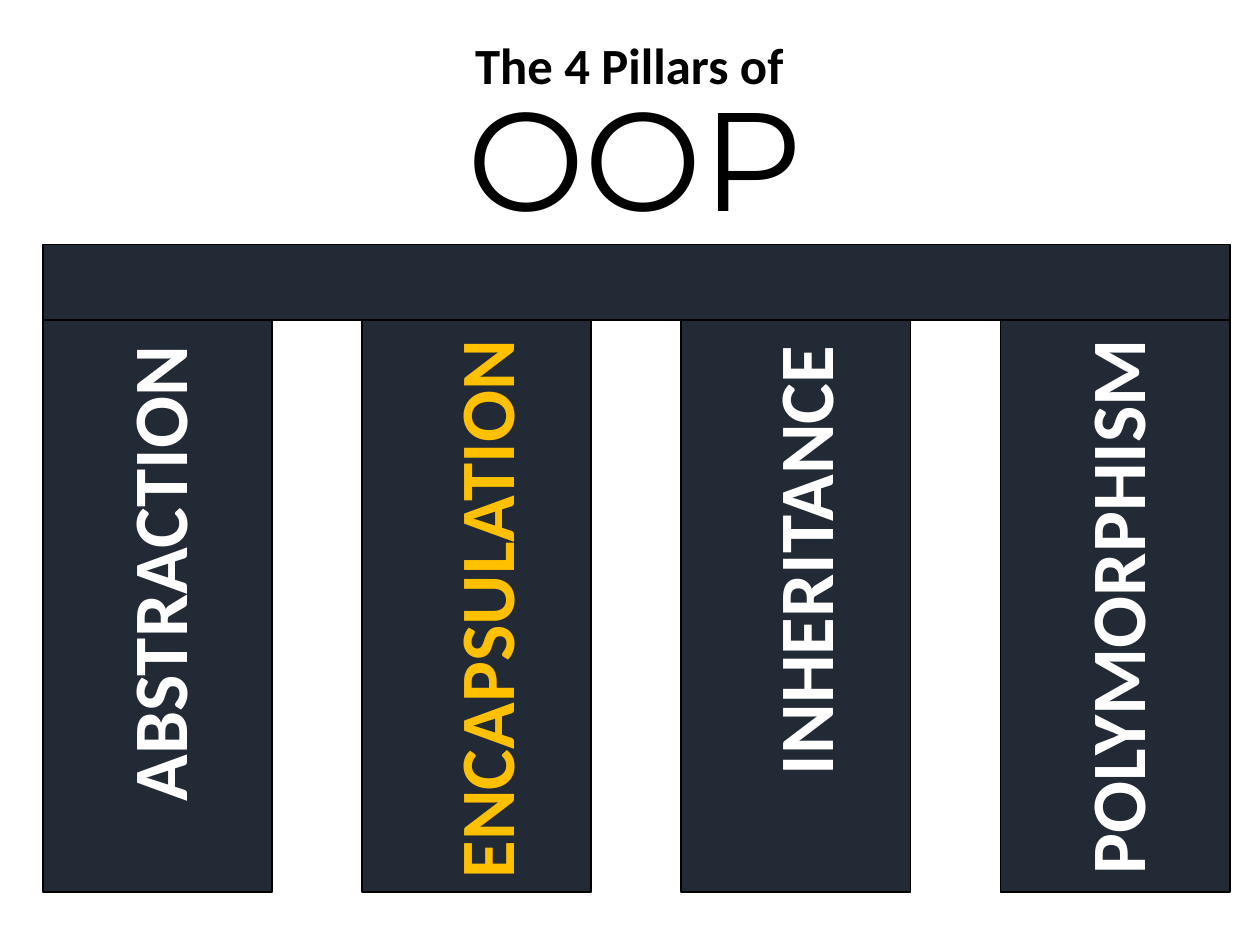
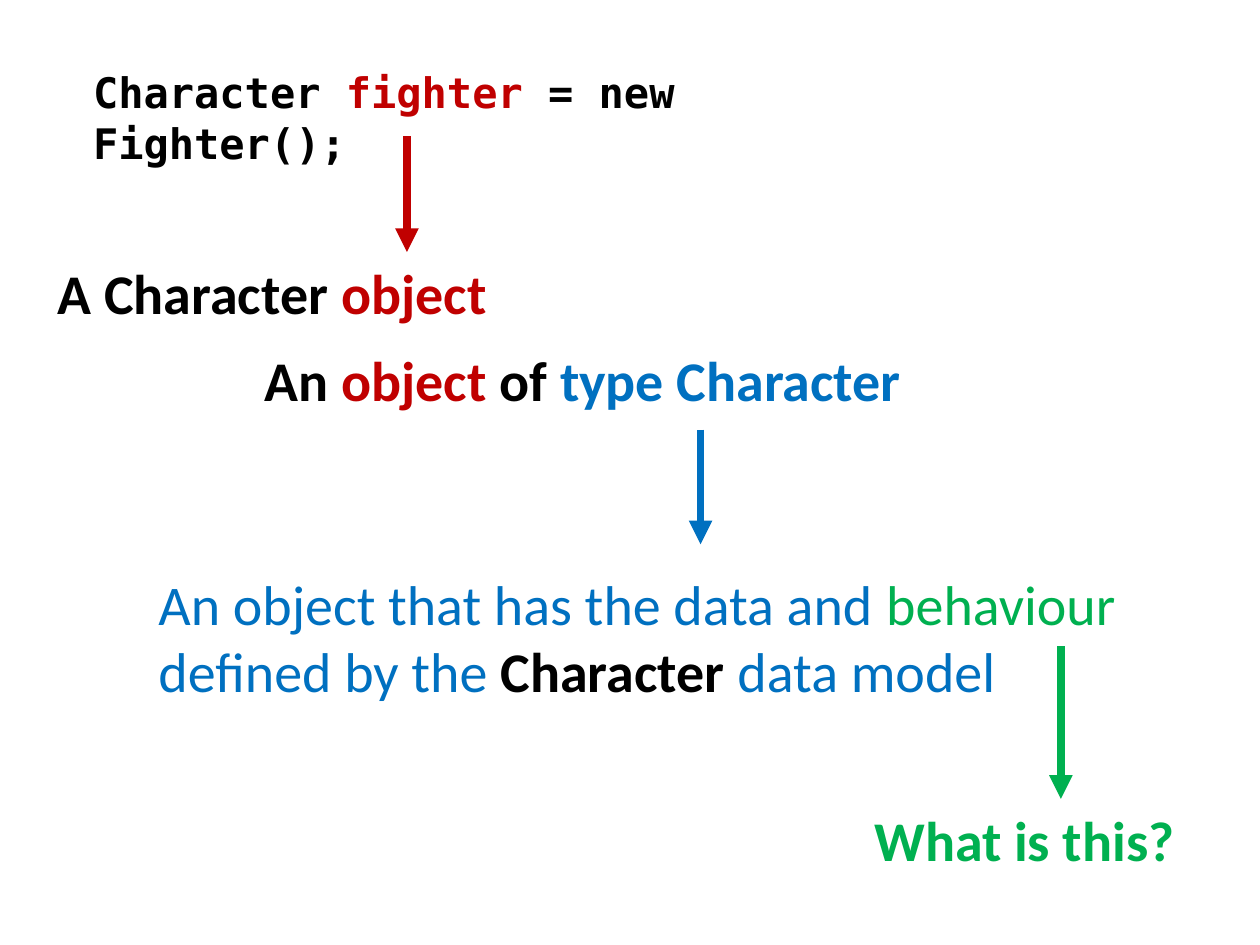
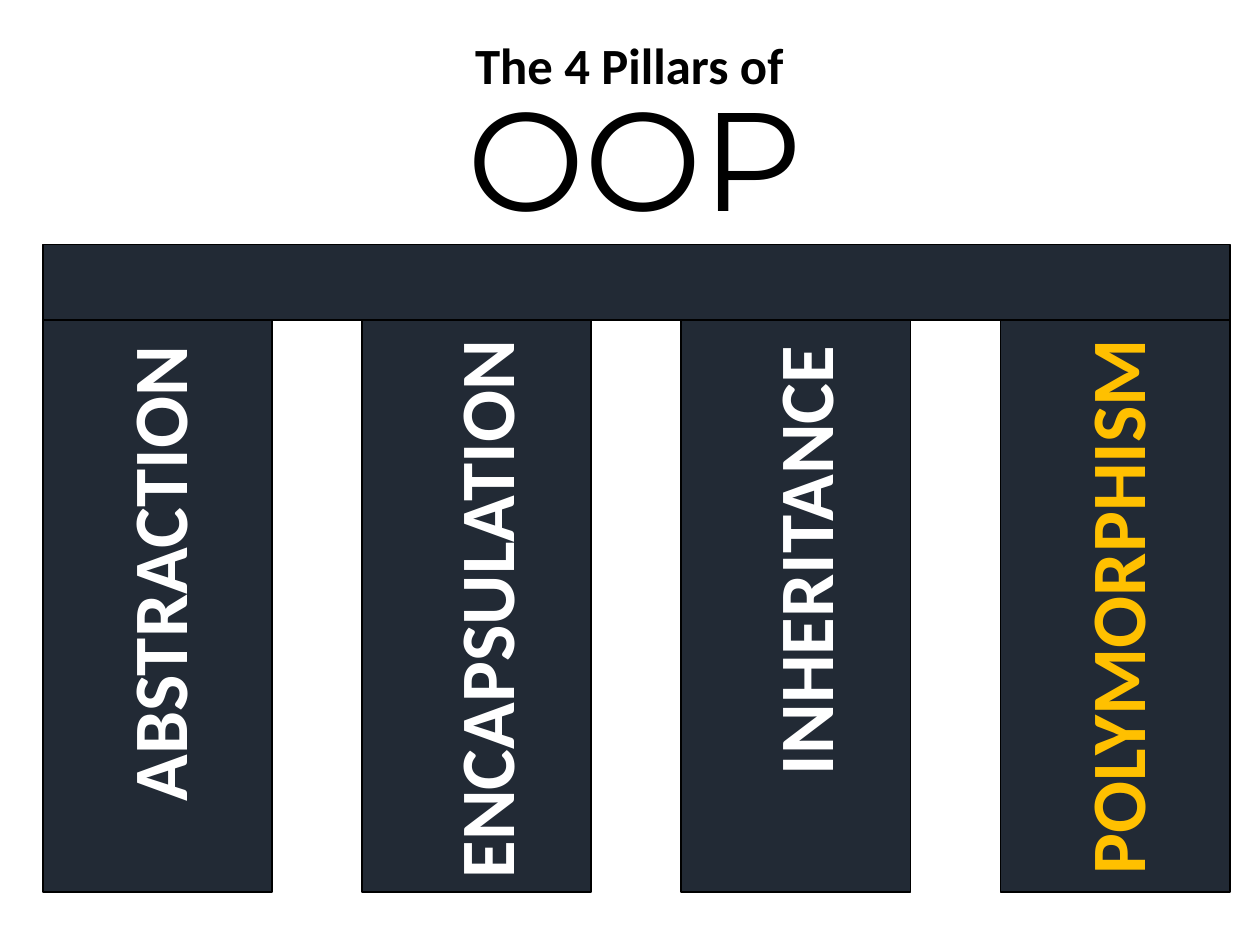
import pptx
import pptx.dml.color
import pptx.enum.shapes
import pptx.enum.text
import pptx.oxml.ns
import pptx.util
from lxml import etree

Inches = pptx.util.Inches
Pt = pptx.util.Pt

COLOURS = {
    "stone": "222A35",
    "black": "000000",
    "white": "FFFFFF",
    "gold": "FFC000",
    "red": "C00000",
    "blue": "0070C0",
    "green": "00B050",
}
BODY_FONT, CODE_FONT, DISPLAY_FONT = "Calibri", "DejaVu Sans Mono", "Montserrat"
TITLE_ONLY, BLANK = 5, 6

TEMPLE_BOX = (0.34, 1.94, 9.42, 5.14)
BEAM_HEIGHT = 0.6
PILLAR_WIDTH = 1.82
# Label, length of its box, shift right of the pillar axis, drop below the beam
PILLARS = [
    ("ABSTRACTION", 3.85, 0, 0.07),
    ("ENCAPSULATION", 4.51, 0.06, 0.02),
    ("INHERITANCE", 3.64, 0.06, 0.07),
    ("POLYMORPHISM", 4.49, 0, 0.01),
]
LABEL_HEIGHT = 0.84


def colour(name):
    return pptx.dml.color.RGBColor.from_string(COLOURS[name])


def fill_text(shape, spans, size, font=BODY_FONT, wrap=False):
    """Write spans of (text, colour name, bold) as one left-aligned paragraph."""
    frame = shape.text_frame
    frame.word_wrap = wrap
    frame.auto_size = pptx.enum.text.MSO_AUTO_SIZE.SHAPE_TO_FIT_TEXT
    frame.vertical_anchor = pptx.enum.text.MSO_ANCHOR.TOP
    para = frame.paragraphs[0]
    para.alignment = pptx.enum.text.PP_ALIGN.LEFT
    for text, colour_name, bold in spans:
        span = para.add_run()
        span.text = text
        span.font.name = font
        span.font.size = Pt(size)
        span.font.bold = bold
        span.font.color.rgb = colour(colour_name)


def add_text(page, box, spans, size, font=BODY_FONT, wrap=False):
    shape = page.shapes.add_textbox(*map(Inches, box))
    fill_text(shape, spans, size, font, wrap)
    return shape


def add_block(page, box):
    block = page.shapes.add_shape(
        pptx.enum.shapes.MSO_SHAPE.RECTANGLE, *map(Inches, box))
    block.shadow.inherit = False
    block.fill.solid()
    block.fill.fore_color.rgb = colour("stone")
    block.line.color.rgb = colour("black")
    block.line.width = Pt(1)


def add_down_arrow(page, x, top, bottom, colour_name):
    arrow = page.shapes.add_connector(
        pptx.enum.shapes.MSO_CONNECTOR.STRAIGHT,
        Inches(x), Inches(top), Inches(x), Inches(bottom))
    arrow.line.color.rgb = colour(colour_name)
    arrow.line.width = Pt(4.5)
    qn = pptx.oxml.ns.qn
    etree.SubElement(arrow.line._get_or_add_ln(), qn("a:tailEnd"), type="triangle")
    etree.SubElement(arrow._element.spPr, qn("a:effectLst"))


def add_heading(page, left, top):
    title = page.shapes.title
    title.left, title.top = Inches(left + 0.06), Inches(top)
    title.width, title.height = Inches(2.76), Inches(0.61)
    fill_text(title, [("The 4 Pillars of", "black", True)], 29)
    acronym = add_text(page, (left, top + 0.3, 2.88, 1.45),
                       [("OOP", "black", False)], 80, DISPLAY_FONT)
    acronym.text_frame.paragraphs[0].alignment = pptx.enum.text.PP_ALIGN.JUSTIFY


def add_temple(page, box, highlight):
    left, top, width, height = box
    add_block(page, (left, top, width, BEAM_HEIGHT))
    pillar_top = top + BEAM_HEIGHT
    pitch = (width - PILLAR_WIDTH) / (len(PILLARS) - 1)
    for index, (name, length, shift, drop) in enumerate(PILLARS):
        pillar_left = left + index * pitch
        add_block(page, (pillar_left, pillar_top, PILLAR_WIDTH, height - BEAM_HEIGHT))
        centre_x = pillar_left + PILLAR_WIDTH / 2 + shift
        centre_y = pillar_top + drop + length / 2
        label_box = (centre_x - length / 2, centre_y - LABEL_HEIGHT / 2,
                     length, LABEL_HEIGHT)
        label_colour = "gold" if name == highlight else "white"
        label = add_text(page, label_box, [(name, label_colour, True)], 44)
        label.rotation = 270


def add_pillars_page(deck, highlight):
    page = deck.slides.add_slide(deck.slide_layouts[TITLE_ONLY])
    add_temple(page, TEMPLE_BOX, highlight)
    add_heading(page, 3.61, 0.22)


def add_object_page(deck):
    page = deck.slides.add_slide(deck.slide_layouts[BLANK])
    add_text(page, (0.64, 0.48, 6.52, 0.5), [
        ("Character ", "black", True),
        ("fighter", "red", True),
        (" = new Fighter();", "black", True),
    ], 24, CODE_FONT, wrap=True)
    add_text(page, (0.36, 2, 3.64, 0.64), [
        ("A Character ", "black", True),
        ("object", "red", True),
    ], 32)
    add_text(page, (2, 2.69, 5.3, 0.64), [
        ("An ", "black", True),
        ("object ", "red", True),
        ("of ", "black", True),
        ("type Character", "blue", True),
    ], 32)
    add_text(page, (1.16, 4.47, 8.16, 1.18), [
        ("An object that has the data and ", "blue", False),
        ("behaviour", "green", False),
        (" defined by the ", "blue", False),
        ("Character", "black", True),
        (" data model", "blue", False),
    ], 32, wrap=True)
    add_text(page, (6.84, 6.34, 2.61, 0.64), [("What is this?", "green", True)], 32)
    add_down_arrow(page, 3.23, 1.08, 2, "red")
    add_down_arrow(page, 5.56, 3.41, 4.32, "blue")
    add_down_arrow(page, 8.42, 5.13, 6.34, "green")


def main():
    deck = pptx.Presentation()
    deck.slide_width, deck.slide_height = Inches(10), Inches(7.5)
    add_pillars_page(deck, "ENCAPSULATION")
    add_object_page(deck)
    add_pillars_page(deck, "POLYMORPHISM")
    deck.save("out.pptx")


if __name__ == "__main__":
    main()
